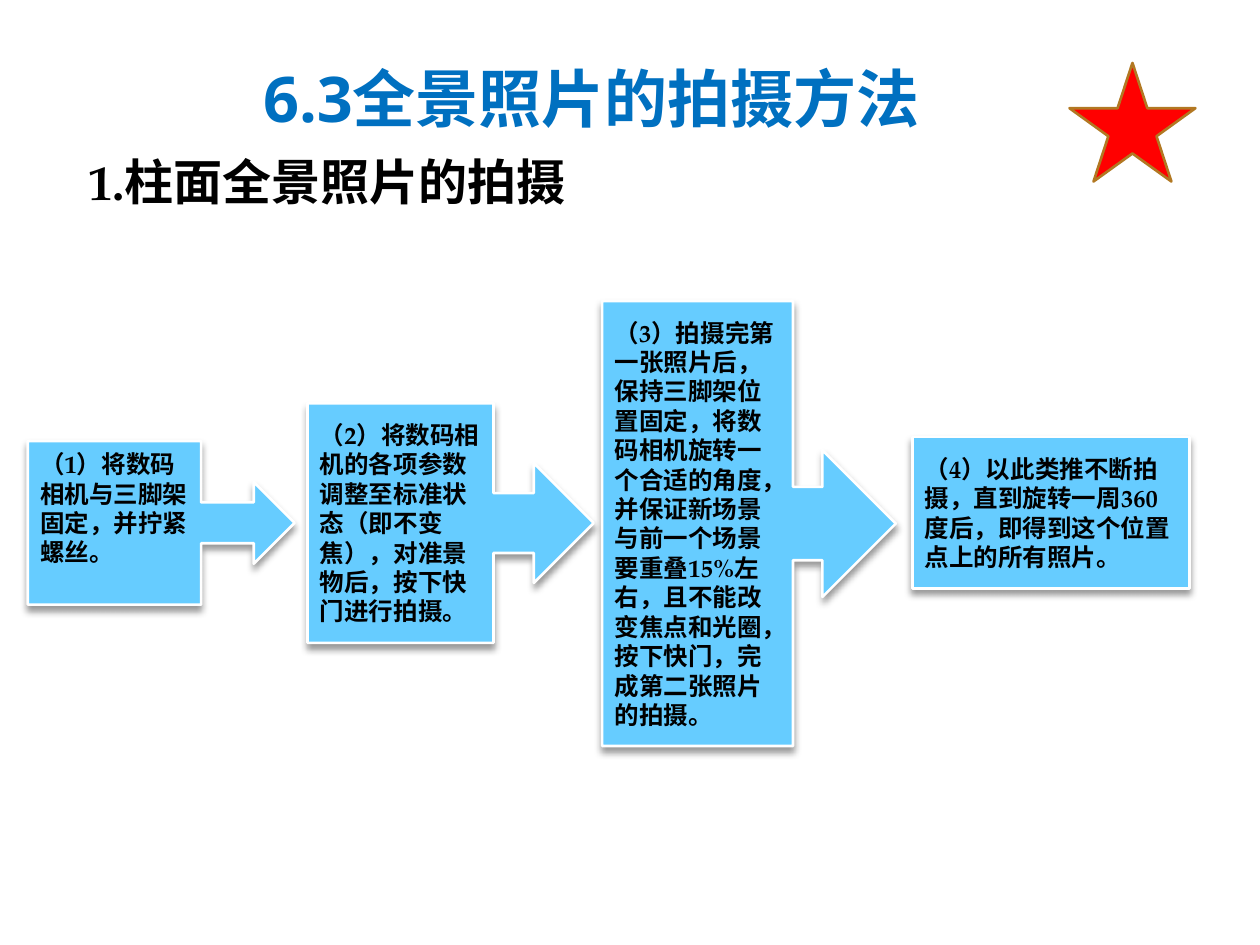
from lxml.etree import SubElement
from pptx import Presentation
from pptx.dml.color import RGBColor
from pptx.enum.shapes import MSO_SHAPE
from pptx.enum.text import MSO_ANCHOR, MSO_AUTO_SIZE, PP_ALIGN
from pptx.oxml import parse_xml
from pptx.oxml.ns import nsdecls, qn
from pptx.util import Cm, Pt

HEADING_FONT = "Open Sans"
TEXT_FONT = "TeX Gyre Pagella"
STEP_FILL = "66CCFF"
STEP_SHADOW = f"""
<a:effectLst {nsdecls("a")}>
  <a:outerShdw blurRad="{Pt(4)}" dist="{Pt(3)}" dir="5400000" rotWithShape="0">
    <a:srgbClr val="000000"><a:alpha val="40000"/></a:srgbClr>
  </a:outerShdw>
</a:effectLst>"""

# Kind, left, top, width, height and bottom inset in cm, then the wording
STEPS = [
    (MSO_SHAPE.RIGHT_ARROW_CALLOUT, 0.56, 8.89, 5.38, 3.3, 0.72,
     "（1）将数码相机与三脚架固定，并拧紧螺丝。"),
    (MSO_SHAPE.RIGHT_ARROW_CALLOUT, 6.2, 8.13, 5.77, 4.83, 0.13,
     "（2）将数码相机的各项参数调整至标准状态（即不变焦），对准景物后，按下快门进行拍摄。"),
    (MSO_SHAPE.RIGHT_ARROW_CALLOUT, 12.14, 6.07, 5.92, 8.97, 0.13,
     "（3）拍摄完第一张照片后，保持三脚架位置固定，将数码相机旋转一个合适的角度，"
     "并保证新场景与前一个场景要重叠15%左右，且不能改变焦点和光圈，按下快门，"
     "完成第二张照片的拍摄。"),
    (MSO_SHAPE.RECTANGLE, 18.39, 8.81, 5.59, 3.05, 0.13,
     "（4）以此类推不断拍摄，直到旋转一周360度后，即得到这个位置点上的所有照片。"),
]


def color(value):
    return RGBColor.from_string(value)


class SlideBuilder:
    def __init__(self, slide):
        self.slide = slide

    def set_text(self, shape, text, font, size, text_color, anchor):
        """Fill the shape with one left-aligned bold paragraph and return it."""
        frame = shape.text_frame
        frame.text = text
        frame.word_wrap = True
        frame.auto_size = MSO_AUTO_SIZE.NONE
        frame.vertical_anchor = anchor
        paragraph = frame.paragraphs[0]
        paragraph.alignment = PP_ALIGN.LEFT
        for run in paragraph.runs:
            run.font.name = font
            run.font.size = Pt(size)
            run.font.bold = True
            run.font.color.rgb = color(text_color)
        return paragraph

    def place(self, shape, left, top, width, height):
        shape.left, shape.top = Cm(left), Cm(top)
        shape.width, shape.height = Cm(width), Cm(height)

    def title(self, text, *box):
        shape = self.slide.shapes.title
        self.place(shape, *box)
        paragraph = self.set_text(shape, text, HEADING_FONT, 36, "0070C0", MSO_ANCHOR.BOTTOM)
        paragraph.line_spacing = 0.9

    def body(self, text, *box):
        shape = self.slide.placeholders[1]
        self.place(shape, *box)
        paragraph = self.set_text(shape, text, TEXT_FONT, 28, "000000", MSO_ANCHOR.TOP)
        paragraph.line_spacing = 0.9
        paragraph.space_before = Pt(0)
        properties = paragraph._p.get_or_add_pPr()
        properties.set("marL", "0")
        properties.set("indent", "0")
        SubElement(properties, qn("a:buNone"))

    def shape(self, kind, left, top, width, height, fill, line):
        shape = self.slide.shapes.add_shape(kind, Cm(left), Cm(top), Cm(width), Cm(height))
        shape.shadow.inherit = False
        shape.fill.solid()
        shape.fill.fore_color.rgb = color(fill)
        shape.line.color.rgb = color(line)
        shape.line.width = Pt(1.5)
        return shape

    def step(self, kind, left, top, width, height, bottom_inset, text):
        shape = self.shape(kind, left, top, width, height, STEP_FILL, "FFFFFF")
        properties = shape._element.spPr
        properties.replace(properties.find(qn("a:effectLst")), parse_xml(STEP_SHADOW))
        self.set_text(shape, text, TEXT_FONT, 14, "000000", MSO_ANCHOR.MIDDLE)
        shape.text_frame.margin_bottom = Cm(bottom_inset)


def main():
    presentation = Presentation()
    presentation.slide_width, presentation.slide_height = Cm(25.4), Cm(19.05)
    builder = SlideBuilder(presentation.slides.add_slide(presentation.slide_layouts[1]))
    builder.title("6.3全景照片的拍摄方法", 5.05, 0.36, 14.02, 2.51)
    builder.body("1.柱面全景照片的拍摄", 1.52, 3.07, 23.19, 1.3)
    for step in STEPS:
        builder.step(*step)
    builder.shape(MSO_SHAPE.STAR_5_POINT, 21.56, 1.27, 2.54, 2.39, "FF0000", "B27822")
    presentation.save("out.pptx")


if __name__ == "__main__":
    main()
